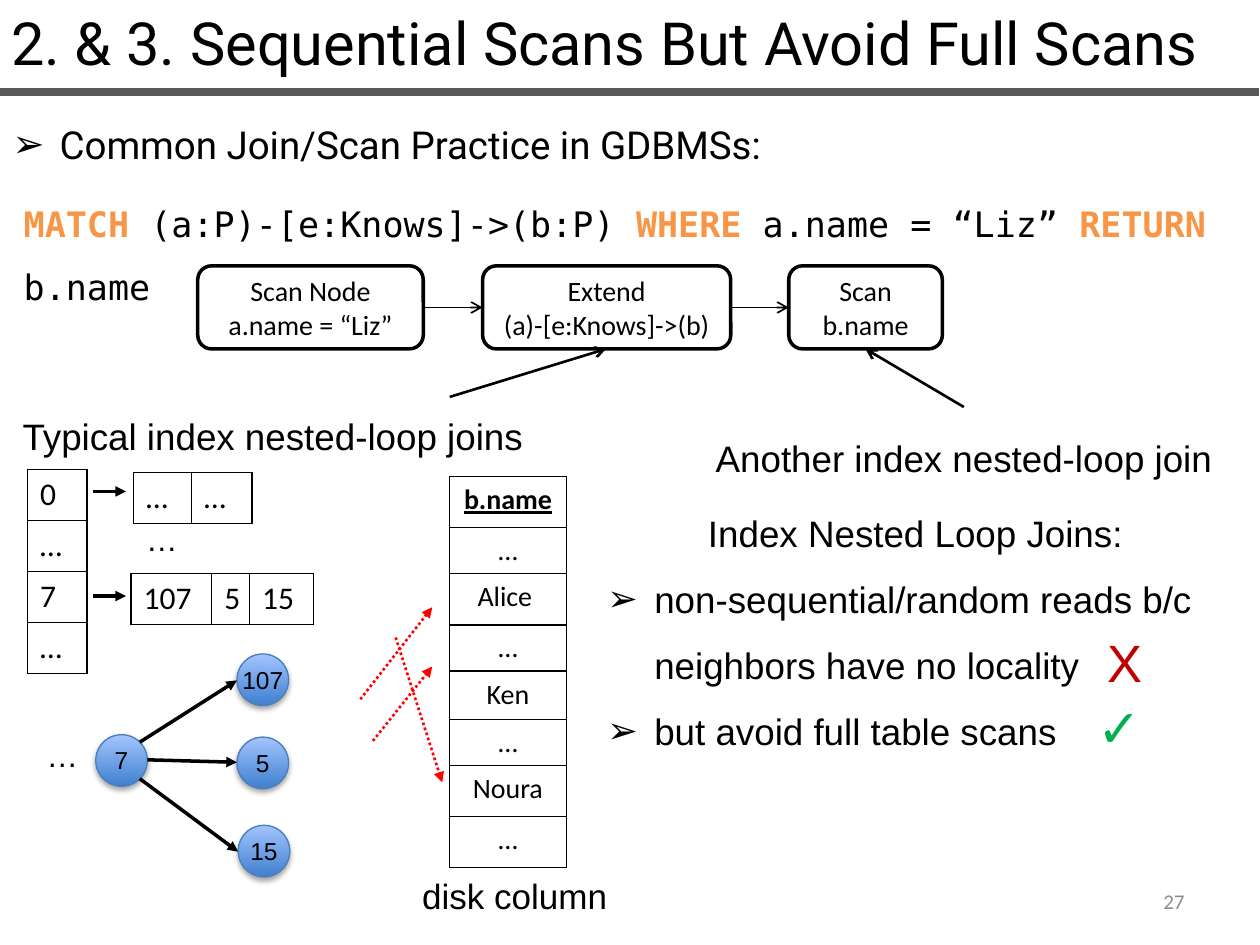
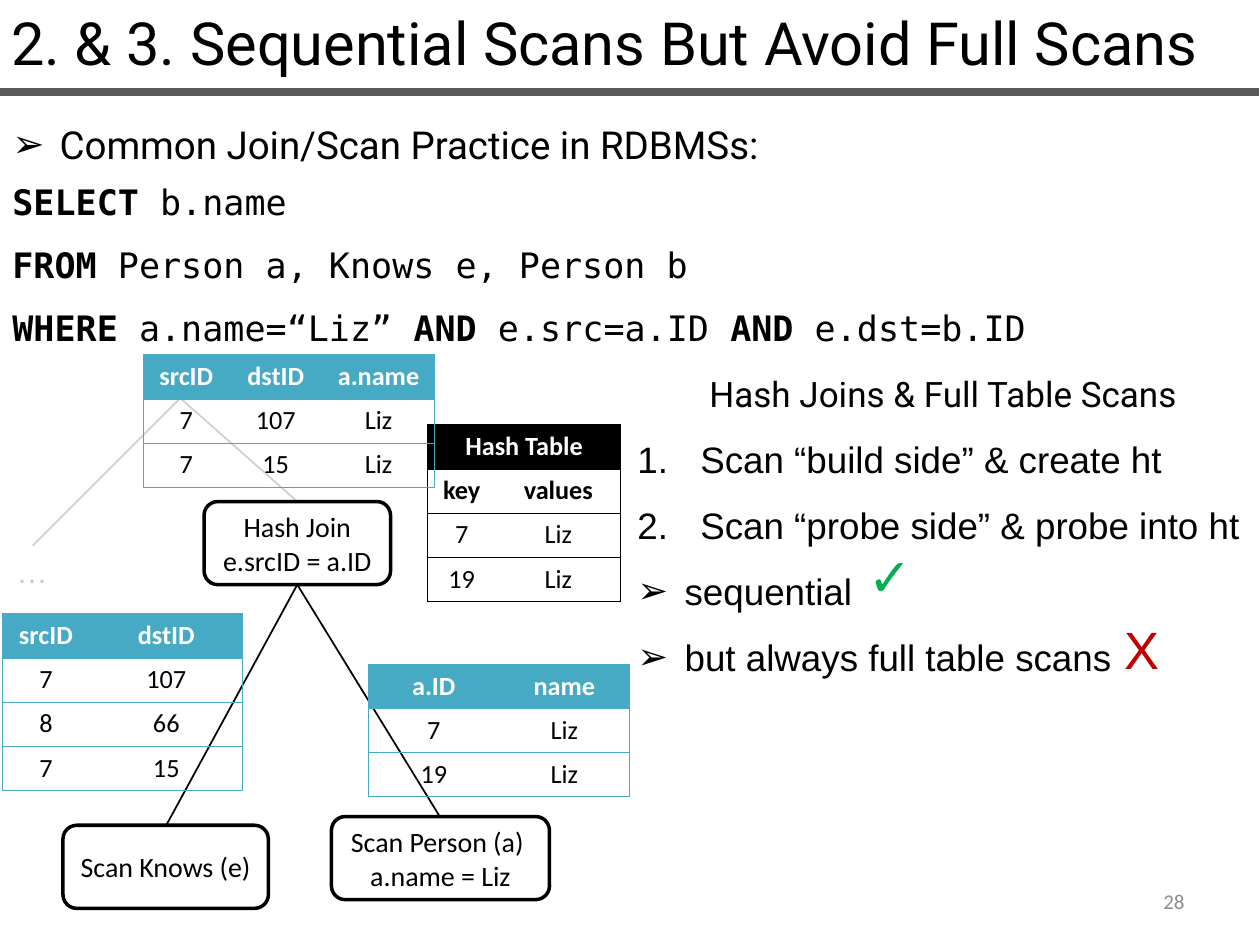
from dataclasses import dataclass
from typing import NamedTuple, Optional, Sequence, Union

from lxml.etree import SubElement
from pptx import Presentation
from pptx.dml.color import RGBColor
from pptx.enum.dml import MSO_LINE_DASH_STYLE as Dash
from pptx.enum.shapes import MSO_CONNECTOR as Connector, MSO_SHAPE as Preset
from pptx.enum.text import MSO_ANCHOR as Anchor, PP_ALIGN as Align
from pptx.oxml.ns import qn
from pptx.util import Pt

BLACK = RGBColor(0x00, 0x00, 0x00)
WHITE = RGBColor(0xFF, 0xFF, 0xFF)
RULE_GREY = RGBColor(0x59, 0x59, 0x59)
NUMBER_GREY = RGBColor(0x8C, 0x8C, 0x8C)
ORANGE = RGBColor(0xF7, 0x96, 0x46)
TEAL = RGBColor(0x46, 0xAA, 0xC5)
RED = RGBColor(0xFF, 0x00, 0x00)
CROSS_RED = RGBColor(0xC0, 0x00, 0x00)
CHECK_GREEN = RGBColor(0x00, 0xB0, 0x50)
NODE_DARK = RGBColor(0x3F, 0x80, 0xCE)
NODE_LIGHT = RGBColor(0xA4, 0xC4, 0xFF)
NODE_LINE = RGBColor(0x4B, 0x7E, 0xBC)

ARIAL, CALIBRI, MONO, ROBOTO = "Arial", "Calibri", "DejaVu Sans Mono", "Roboto"
ARROW_BULLET = "➢"
NUMBERED = "1."
NODE_SIZE = 29.5
LABEL_WIDTH = 51.1


class Box(NamedTuple):
    left: float
    top: float
    width: float
    height: float


class Point(NamedTuple):
    x: float
    y: float


class Run(NamedTuple):
    text: str
    bold: bool = False
    color: Optional[RGBColor] = None


class Para(NamedTuple):
    runs: Sequence[Run]
    bullet: str = ""
    align: Optional[Align] = None
    font: Optional[str] = None
    size: Optional[float] = None


@dataclass
class Step:
    lines: list[str]
    box: Box


@dataclass
class Grid:
    left: float
    top: float
    columns: list[float]
    heights: list[float]
    rows: list[list[str]]
    size: float = 18
    align: Align = Align.LEFT
    color: RGBColor = BLACK
    line_width: float = 1
    bold_rows: int = 0
    underline_header: bool = False
    filled_header: bool = False
    inner_verticals: bool = True
    padding: float = 3.6


Text = Union[str, Sequence[Para]]


def plain(text: str, **options) -> Para:
    return Para([Run(text)], **options)


def add_bullet(paragraph, bullet: str) -> None:
    indent = Pt(36 if bullet == NUMBERED else 27)
    properties = paragraph._p.get_or_add_pPr()
    properties.set("marL", str(indent))
    properties.set("indent", str(-indent))
    SubElement(properties, qn("a:buFont"), typeface=ARIAL)
    if bullet == NUMBERED:
        SubElement(properties, qn("a:buAutoNum"), type="arabicPeriod")
    else:
        SubElement(properties, qn("a:buChar"), char=bullet)


def fade(element, percent: int) -> None:
    for color in element.iter(qn("a:srgbClr")):
        SubElement(color, qn("a:alpha"), val=str(percent * 1000))


def write(frame, text: Text, *, font: str = ARIAL, size: float = 21, color: RGBColor = BLACK,
          bold: bool = False, underline: bool = False, align: Align = Align.LEFT,
          spacing: float = 1.0, opacity: int = 100) -> None:
    paras = [plain(text)] if isinstance(text, str) else text
    for index, para in enumerate(paras):
        paragraph = frame.add_paragraph() if index else frame.paragraphs[0]
        if para.bullet:
            add_bullet(paragraph, para.bullet)
        paragraph.alignment = para.align or align
        paragraph.line_spacing = spacing
        for part in para.runs:
            run = paragraph.add_run()
            run.text = part.text
            run.font.name = para.font or font
            run.font.size = Pt(para.size or size)
            run.font.bold = bold or part.bold
            run.font.underline = underline
            run.font.color.rgb = part.color or color
            if opacity < 100:
                fade(run._r, opacity)


def add_text(slide, box: Box, text: Text, anchor: Anchor = Anchor.TOP, **style) -> None:
    frame = slide.shapes.add_textbox(*map(Pt, box)).text_frame
    frame.word_wrap = True
    frame.vertical_anchor = anchor
    write(frame, text, **style)


def add_line(slide, start: Point, end: Point, *, color: RGBColor = BLACK, width: float = 1,
             head: str = "", dotted: bool = False, opacity: int = 100) -> None:
    connector = slide.shapes.add_connector(Connector.STRAIGHT, *map(Pt, (*start, *end)))
    connector.line.color.rgb = color
    connector.line.width = Pt(width)
    if dotted:
        connector.line.dash_style = Dash.ROUND_DOT
    if opacity < 100:
        fade(connector.line._ln, opacity)
    if head:
        SubElement(connector.line._ln, qn("a:tailEnd"), type=head)
    SubElement(connector._element.spPr, qn("a:effectLst"))


def add_step(slide, step: Step) -> None:
    shape = slide.shapes.add_shape(Preset.ROUNDED_RECTANGLE, *map(Pt, step.box))
    shape.shadow.inherit = False
    shape.fill.background()
    shape.line.color.rgb = BLACK
    shape.line.width = Pt(2)
    frame = shape.text_frame
    frame.margin_left = frame.margin_right = Pt(3.6)
    frame.word_wrap = True
    frame.vertical_anchor = Anchor.MIDDLE
    write(frame, [plain(line) for line in step.lines], font=CALIBRI, size=16, align=Align.CENTER)


def add_node(slide, label: str, corner: Point) -> None:
    circle = slide.shapes.add_shape(Preset.OVAL, *map(Pt, (*corner, NODE_SIZE, NODE_SIZE)))
    circle.fill.gradient()
    circle.fill.gradient_angle = 90
    for stop, color in zip(circle.fill.gradient_stops, (NODE_DARK, NODE_LIGHT)):
        stop.color.rgb = color
    circle.line.color.rgb = NODE_LINE
    circle.line.width = Pt(0.75)
    circle.shadow.inherit = False
    effects = circle._element.spPr.find(qn("a:effectLst"))
    shadow = SubElement(effects, qn("a:outerShdw"), blurRad=str(Pt(3.1)), dist=str(Pt(1.8)),
                        dir="5400000", rotWithShape="0")
    SubElement(shadow, qn("a:srgbClr"), val=str(BLACK))
    fade(shadow, 35)
    label_left = corner.x + (NODE_SIZE - LABEL_WIDTH) / 2
    add_text(slide, Box(label_left, corner.y + 2.5, LABEL_WIDTH, 24.2), label,
             size=14, align=Align.CENTER)


def set_border(cell, side: str, color: RGBColor, width: float) -> None:
    line = SubElement(cell._tc.get_or_add_tcPr(), qn(f"a:ln{side}"), w=str(Pt(width)))
    if width:
        SubElement(SubElement(line, qn("a:solidFill")), qn("a:srgbClr"), val=str(color))
    else:
        SubElement(line, qn("a:noFill"))


def add_grid(slide, grid: Grid) -> None:
    size = (sum(grid.columns), sum(grid.heights))
    count, last = len(grid.rows), len(grid.columns) - 1
    table = slide.shapes.add_table(count, last + 1,
                                   *map(Pt, (grid.left, grid.top, *size))).table
    for column, width in zip(table.columns, grid.columns):
        column.width = Pt(width)
    for row, height in zip(table.rows, grid.heights):
        row.height = Pt(height)
    for r, texts in enumerate(grid.rows):
        header = grid.filled_header and r == 0
        if len(texts) <= last:
            table.cell(r, 0).merge(table.cell(r, last))
        for c in range(last + 1):
            cell = table.cell(r, c)
            cell.margin_top = cell.margin_bottom = Pt(grid.padding)
            shown = {"L": grid.inner_verticals or c == 0,
                     "R": grid.inner_verticals or c == last, "T": True, "B": True}
            for side, visible in shown.items():
                set_border(cell, side, grid.color, grid.line_width if visible else 0)
            if header:
                cell.fill.solid()
                cell.fill.fore_color.rgb = grid.color
            else:
                cell.fill.background()
            if c < len(texts):
                write(cell.text_frame, texts[c], font=CALIBRI, size=grid.size, align=grid.align,
                      color=WHITE if header else BLACK, bold=r < grid.bold_rows,
                      underline=grid.underline_header and r == 0)


def add_relation(slide, left: float, top: float, columns: list[float], rows: list[list[str]],
                 color: RGBColor = TEAL, bold_rows: int = 1) -> None:
    add_grid(slide, Grid(left, top, columns, [25.2] * len(rows), rows, size=15,
                         align=Align.CENTER, color=color, line_width=0.75, bold_rows=bold_rows,
                         filled_header=True, inner_verticals=False, padding=3.4))


def add_mark(slide, left: float, top: float, mark: str, color: RGBColor) -> None:
    add_text(slide, Box(left, top, 38.9, 43.9), mark, size=30, color=color, align=Align.CENTER)


def add_ellipsis(slide, left: float, top: float, opacity: int = 100) -> None:
    add_text(slide, Box(left, top, LABEL_WIDTH, 28.8), "…", size=18, align=Align.CENTER,
             opacity=opacity)


def start_slide(deck, number: int, topic: str):
    slide = deck.slides.add_slide(deck.slide_layouts[6])
    add_text(slide, Box(516.2, 500.4, 167.8, 28.8), str(number), anchor=Anchor.MIDDLE,
             font=CALIBRI, size=12, color=NUMBER_GREY, align=Align.RIGHT)
    add_line(slide, Point(-0.7, 52.6), Point(719.3, 52.6), color=RULE_GREY, width=4.5)
    add_text(slide, Box(-0.7, 0, 715.7, 48.2),
             "2. & 3. Sequential Scans But Avoid Full Scans", font=ROBOTO, size=34)
    add_text(slide, Box(0, 52.6, 715, 43.2), [plain(topic, bullet=ARROW_BULLET)],
             font=ROBOTO, size=22, spacing=1.5)
    return slide


def build_graph_slide(deck) -> None:
    slide = start_slide(deck, 27, "Common Join/Scan Practice in GDBMSs:")
    query = [Run("MATCH", True, ORANGE), Run(" (a:P)-[e:Knows]->(b:P) "),
             Run("WHERE ", True, ORANGE), Run("a.name = “Liz” "),
             Run("RETURN ", True, ORANGE), Run("b.name")]
    add_text(slide, Box(6.5, 100.1, 709.9, 39.6), [Para(query)], font=MONO, size=20, spacing=1.5)

    pipeline = [Step(["Scan Node", "a.name = “Liz”"], Box(113, 151.9, 128.9, 47.5)),
                Step(["Extend", "(a)-[e:Knows]->(b)"], Box(275.8, 151.9, 141.8, 47.5)),
                Step(["Scan", "b.name"], Box(450.7, 151.9, 87.8, 47.5))]
    for step in pipeline:
        add_step(slide, step)
    for before, after in zip(pipeline, pipeline[1:]):
        add_line(slide, Point(before.box.left + before.box.width, 175.7),
                 Point(after.box.left, 175.7), head="arrow")
    for start, end in ((Point(550.8, 232.6), Point(494.6, 199.4)),
                       (Point(257, 226.8), Point(346.3, 199.4))):
        add_line(slide, start, end, width=1.5, head="arrow")

    add_text(slide, Box(388.1, 232.6, 325.4, 41), "Another index nested-loop join",
             align=Align.CENTER, spacing=1.5)
    add_text(slide, Box(0, 220.3, 311.8, 41), "Typical index nested-loop joins",
             align=Align.CENTER, spacing=1.5)
    add_text(slide, Box(339.8, 275.8, 366.5, 155.5), [
        plain("Index Nested Loop Joins:", align=Align.CENTER),
        plain("non-sequential/random reads b/c neighbors have no locality", bullet=ARROW_BULLET),
        plain("but avoid full table scans", bullet=ARROW_BULLET)], spacing=1.5)

    names = ["b.name", "…", "Alice ", "…", "Ken", "…", "Noura", "…"]
    add_grid(slide, Grid(257, 272.2, [66.6], [29.2, 26.4, 29.2, 26.4, 27.6, 26.4, 29.2, 29.2],
                         [[name] for name in names], size=16, align=Align.CENTER,
                         bold_rows=1, underline_header=True))
    for start, end in ((Point(226.1, 364.3), Point(252.7, 447.1)),
                       (Point(205.9, 399.6), Point(247, 347)),
                       (Point(213.1, 423.4), Point(247, 380.9))):
        add_line(slide, start, end, color=RED, width=1.5, head="triangle", dotted=True)
    add_mark(slide, 623.5, 356.4, "X", CROSS_RED)
    add_mark(slide, 619.9, 393.8, "✓", CHECK_GREEN)

    nodes = {"7": Point(54.7, 419.8), "5": Point(135.4, 421.2),
             "107": Point(135.4, 373.7), "15": Point(136.1, 471.6)}
    for label, corner in nodes.items():
        add_node(slide, label, corner)
    for start, end in ((Point(79.9, 424.1), Point(135.4, 388.8)),
                       (Point(84.2, 434.2), Point(135.4, 435.6)),
                       (Point(79.9, 445), Point(136.1, 486.7))):
        add_line(slide, start, end, width=2, head="triangle")
    add_ellipsis(slide, 10.1, 416.9)

    add_grid(slide, Grid(15.8, 268.2, [33.8], [29.2] * 4, [["0"], ["…"], ["7"], ["…"]]))
    add_grid(slide, Grid(74.9, 327.6, [46.1, 21.6, 36.7], [29.2], [["107", "5", "15"]]))
    add_grid(slide, Grid(76.3, 270, [33.1, 34.6], [29.2], [["…", "…"]]))
    for y in (280.8, 340.6):
        add_line(slide, Point(53.3, y), Point(72, y), width=2, head="triangle")
    add_ellipsis(slide, 67, 293.8)
    add_text(slide, Box(226.8, 496.1, 134.6, 31.7), "disk column", size=20, align=Align.CENTER)


def build_relational_slide(deck) -> None:
    slide = start_slide(deck, 28, "Common Join/Scan Practice in RDBMSs:")
    query = [Para([Run("SELECT ", True), Run("b.name")]),
             Para([Run("FROM", True), Run(" Person a, Knows e, Person b")]),
             Para([Run("WHERE ", True), Run("a.name=“Liz” "), Run("AND ", True),
                   Run("e.src=a.ID "), Run("AND ", True), Run("e.dst=b.ID")])]
    add_text(slide, Box(0, 87.8, 648, 112.3), query, font=MONO, size=20, spacing=1.5)
    add_text(slide, Box(357.1, 197.3, 363.6, 191.5), [
        plain("Hash Joins & Full Table Scans", align=Align.CENTER, font=ROBOTO, size=20),
        plain("Scan “build side” & create ht", bullet=NUMBERED),
        plain("Scan “probe side” & probe into ht", bullet=NUMBERED),
        plain("sequential", bullet=ARROW_BULLET),
        plain("but always full table scans", bullet=ARROW_BULLET)], spacing=1.5)

    for step in (Step(["Scan Knows (e)"], Box(36, 471.6, 117.4, 47.5)),
                 Step(["Hash Join", "e.srcID = a.ID"], Box(116.6, 286.6, 106.6, 47.5)),
                 Step(["Scan Person (a) ", "a.name = Liz"], Box(189.4, 466.6, 124.6, 47.5))):
        add_step(slide, step)
    join_top, join_bottom = Point(169.9, 286.6), Point(169.9, 334.1)
    parent = Point(103, 227.5)
    for scan_top in (Point(95, 471.6), Point(251.3, 466.6)):
        add_line(slide, join_bottom, scan_top)
    for child in (join_top, Point(18.7, 311.8)):
        add_line(slide, child, parent, opacity=19)
    add_mark(slide, 632.9, 349.2, "X", CROSS_RED)
    add_mark(slide, 488.9, 307.4, "✓", CHECK_GREEN)
    add_ellipsis(slide, -7.2, 311.8, opacity=20)

    add_relation(slide, 210.6, 379.6, [74.6, 74.6],
                 [["a.ID", "name"], ["7", "Liz"], ["19", "Liz"]])
    add_relation(slide, 1.2, 350.8, [50.2, 87.3],
                 [["srcID", "dstID"], ["7", "107"], ["8", "66"], ["7", "15"]])
    add_relation(slide, 244.3, 242.8, [39.1, 71.4],
                 [["Hash Table"], ["key", "values"], ["7", "Liz"], ["19", "Liz"]],
                 color=BLACK, bold_rows=2)
    add_relation(slide, 82.1, 202.8, [48.8, 53.4, 64.2],
                 [["srcID", "dstID", "a.name"], ["7", "107", "Liz"], ["7", "15", "Liz"]])


def main() -> None:
    deck = Presentation()
    deck.slide_width, deck.slide_height = Pt(720), Pt(540)
    build_graph_slide(deck)
    build_relational_slide(deck)
    deck.save("out.pptx")


if __name__ == "__main__":
    main()
